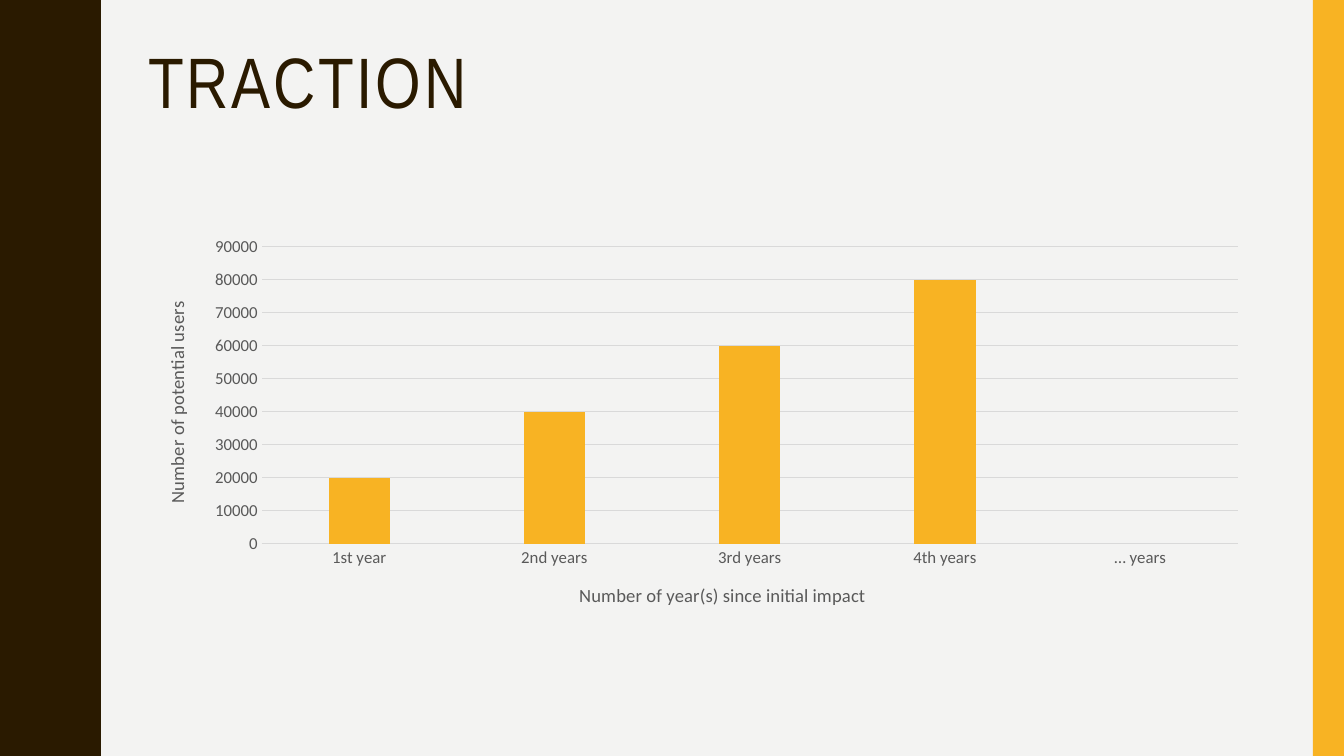
from lxml.etree import SubElement
from pptx import Presentation
from pptx.chart.data import CategoryChartData as ChartData
from pptx.dml.color import RGBColor as Color
from pptx.enum.chart import XL_CHART_TYPE as Chart, XL_TICK_MARK as Tick
from pptx.enum.shapes import MSO_SHAPE as Shape
from pptx.oxml.ns import qn
from pptx.util import Inches, Pt

BROWN, GOLD, PALE, GRAY, RULE = "2A1A00", "F8B323", "F3F3F2", "595959", "D9D9D9"


def write(frame, text, size, color, font, space=None, track=0):
    part = frame.paragraphs[0]
    part.line_spacing = space
    run = part.add_run()
    run.text = text
    run.font.size, run.font.name, run.font.bold = Pt(size), font, False
    run.font.color.rgb = Color.from_string(color)
    if track:
        run.font._element.set("spc", str(track * 100))


def place(node, index, **spots):
    """Fix a chart part at fractions of the chart's size."""
    old = node.find(qn("c:layout"))
    if old is not None:
        node.remove(old)
    box = node.makeelement(qn("c:layout"))
    node.insert(index, box)
    hand = SubElement(box, qn("c:manualLayout"))
    if "w" in spots:
        SubElement(hand, qn("c:layoutTarget")).set("val", "inner")
    for key in "xy":
        SubElement(hand, qn(f"c:{key}Mode")).set("val", "edge")
    for key, spot in spots.items():
        SubElement(hand, qn(f"c:{key}")).set("val", str(spot))


deck = Presentation()
deck.slide_width, deck.slide_height = Inches(13.33), Inches(7.5)
slide = deck.slides.add_slide(deck.slide_layouts[6])
slide.background.fill.solid()
slide.background.fill.fore_color.rgb = Color.from_string(PALE)

# Wavy left edge: each wave is one rising half and its mirror
half = [(0.78, 0), (0.78, 0.07), (0.79, 0.14), (0.8, 0.2), (0.81, 0.25),
        (0.83, 0.29), (0.85, 0.33), (0.87, 0.38), (0.89, 0.42), (0.91, 0.46),
        (0.93, 0.5), (0.95, 0.55), (0.96, 0.61), (0.97, 0.68), (0.97, 0.75)]
wave = half + [(x, 1.5 - y) for x, y in half[-2::-1]]
edge = [(x, y + 1.5 * turn) for turn in range(5) for x, y in wave]
pen = slide.shapes.build_freeform(0, 0, scale=Inches(1))
pen.add_line_segments(edge + [(0, 7.5)], close=True)
band = pen.convert_to_shape()
strip = slide.shapes.add_shape(
    Shape.RECTANGLE, Inches(13.02), 0, Inches(0.31), Inches(7.5))
for shape, color in ((band, BROWN), (strip, GOLD)):
    shape.shadow.inherit = False
    shape.fill.solid()
    shape.fill.fore_color.rgb = Color.from_string(color)
    shape.line.fill.background()

title = slide.shapes.add_textbox(
    Inches(1.37), Inches(0.42), Inches(11.13), Inches(1.63)).text_frame
title.word_wrap = True
write(title, "TRACTION", 51, BROWN, "Arial Narrow", space=0.9, track=2)

data = ChartData()
data.categories = ["1st year", "2nd years", "3rd years", "4th years", "… years"]
data.add_series("Series 1", [20000, 40000, 60000, 80000, None])
chart = slide.shapes.add_chart(
    Chart.COLUMN_CLUSTERED, Inches(1.37), Inches(2.25), Inches(11.13),
    Inches(3.93), data).chart
chart.has_legend = chart.has_title = False
chart.font.name, chart.font.size = "Calibri", Pt(10)
plot = chart.plots[0]
plot.gap_width, plot.overlap, plot.vary_by_categories = 219, -27, False
fill = plot.series[0].format.fill
fill.solid()
fill.fore_color.rgb = Color.from_string(GOLD)

years, users = chart.category_axis, chart.value_axis
users.minimum_scale, users.maximum_scale, users.major_unit = 0, 90000, 10000
for axis, text, x, y in (
        (years, "Number of year(s) since initial impact", 0.39, 0.89),
        (users, "Number of potential users", 0.02, 0.18)):
    axis.major_tick_mark = axis.minor_tick_mark = Tick.NONE
    font = axis.tick_labels.font
    font.name, font.size = "Calibri", Pt(12)
    font.color.rgb = Color.from_string(GRAY)
    write(axis.axis_title.text_frame, text, 13.3, GRAY, "Calibri")
    place(axis.axis_title._element, 1, x=x, y=y)
turned = users.axis_title._element.find(".//" + qn("a:bodyPr"))
turned.set("rot", "-5400000")
turned.set("vert", "horz")
users.format.line.fill.background()
for line in (years.format.line, users.major_gridlines.format.line):
    line.color.rgb = Color.from_string(RULE)
    line.width = Pt(0.75)
area = chart._chartSpace.find(".//" + qn("c:plotArea"))
place(area, 0, x=0.11, y=0.05, w=0.87, h=0.75)

deck.save("out.pptx")
